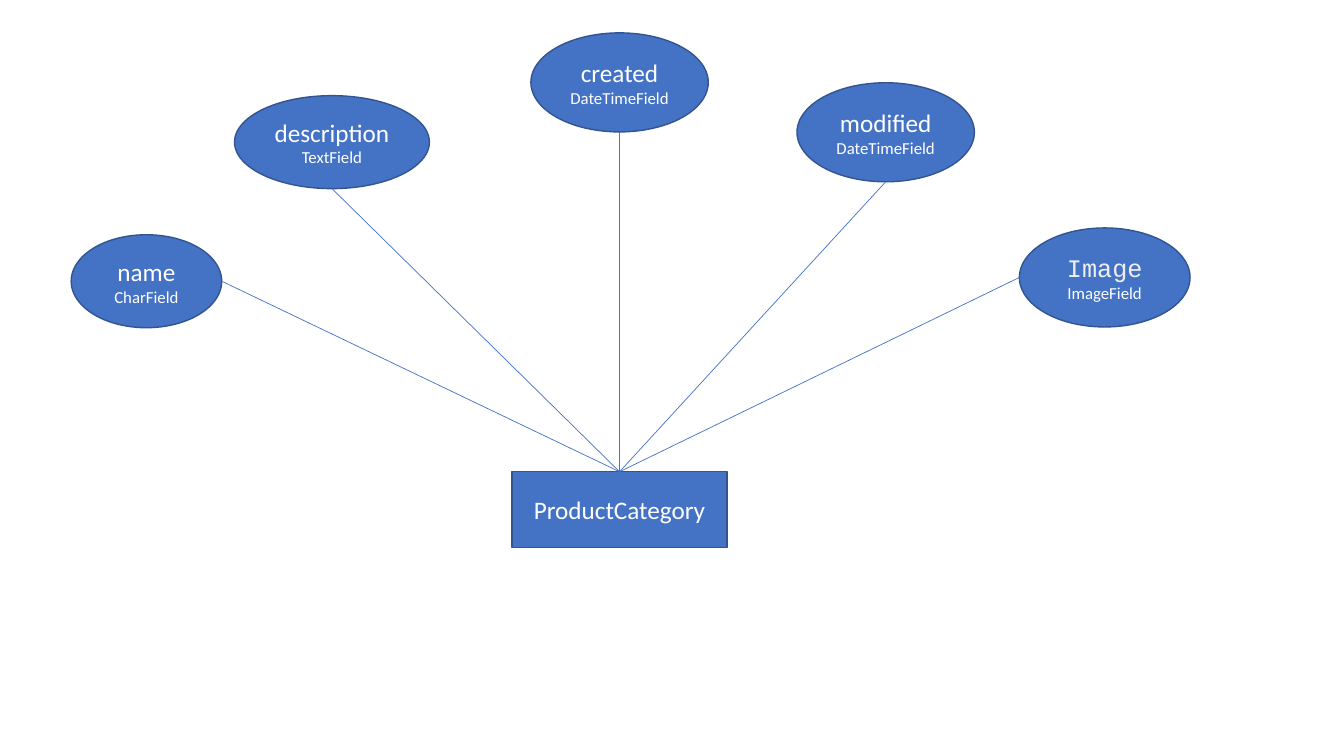
from lxml import etree
from pptx import Presentation
from pptx.dml.color import RGBColor
from pptx.enum.shapes import MSO_CONNECTOR, MSO_SHAPE
from pptx.enum.text import MSO_ANCHOR, PP_ALIGN
from pptx.oxml.ns import qn
from pptx.util import Inches, Pt

RECTANGLE, ELLIPSE = MSO_SHAPE.RECTANGLE, MSO_SHAPE.OVAL
STRAIGHT = MSO_CONNECTOR.STRAIGHT
MIDDLE, CENTER = MSO_ANCHOR.MIDDLE, PP_ALIGN.CENTER
BLUE = RGBColor(0x44, 0x72, 0xC4)
DARK_BLUE = RGBColor(0x32, 0x54, 0x91)
WHITE = RGBColor(0xFF, 0xFF, 0xFF)
PALE_GRAY = RGBColor(0xEF, 0xEF, 0xEF)
BODY, CODE = "Calibri", "Courier New"

prs = Presentation()
prs.slide_width, prs.slide_height = Inches(13.33), Inches(7.5)
slide = prs.slides.add_slide(prs.slide_layouts[6])
COLUMN, ROW = prs.slide_width / 100, prs.slide_height / 100


def add_node(kind, center_x, center_y, width, height, lines):
    node = slide.shapes.add_shape(
        kind,
        round((center_x - width / 2) * COLUMN),
        round((center_y - height / 2) * ROW),
        round(width * COLUMN),
        round(height * ROW),
    )
    node.shadow.inherit = False
    node.fill.solid()
    node.fill.fore_color.rgb = BLUE
    node.line.color.rgb = DARK_BLUE
    node.line.width = Pt(1)
    frame = node.text_frame
    frame.word_wrap = True
    frame.vertical_anchor = MIDDLE
    for index, (text, size, font, color) in enumerate(lines):
        paragraph = frame.paragraphs[0] if index == 0 else frame.add_paragraph()
        paragraph.alignment = CENTER
        run = paragraph.add_run()
        run.text = text
        run.font.size = Pt(size)
        run.font.name = font
        run.font.color.rgb = color
    return node


entity = add_node(RECTANGLE, 46.1, 67.4, 16, 10,
                  [("ProductCategory", 18, BODY, WHITE)])

attributes = [
    ("name", "CharField", 10.9, 37.2, 11.2, 12.3, "right", BODY, WHITE),
    ("description", "TextField", 24.7, 18.8, 14.5, 12.3, "bottom", BODY, WHITE),
    ("created", "DateTimeField", 46.1, 10.9, 13.2, 13.1, "bottom", BODY, WHITE),
    ("modified", "DateTimeField", 65.9, 17.5, 13.2, 13.1, "bottom", BODY, WHITE),
    ("Image", "ImageField", 82.2, 36.7, 12.7, 13.1, "left", CODE, PALE_GRAY),
]
exit_offsets = {"left": (-0.5, 0), "right": (0.5, 0), "bottom": (0, 0.5)}

link_starts = []
for name, field, x, y, width, height, side, font, color in attributes:
    add_node(ELLIPSE, x, y, width, height,
             [(name, 18, font, color), (field, 12, BODY, WHITE)])
    across, down = exit_offsets[side]
    link_starts.append((x + across * width, y + down * height))

for x, y in link_starts:
    link = slide.shapes.add_connector(
        STRAIGHT, round(x * COLUMN), round(y * ROW),
        entity.left + entity.width // 2, entity.top)
    link.end_connect(entity, 0)
    link.line.color.rgb = BLUE
    link.line.width = Pt(0.5)
    etree.SubElement(link._element.spPr, qn("a:effectLst"))

prs.save("out.pptx")
